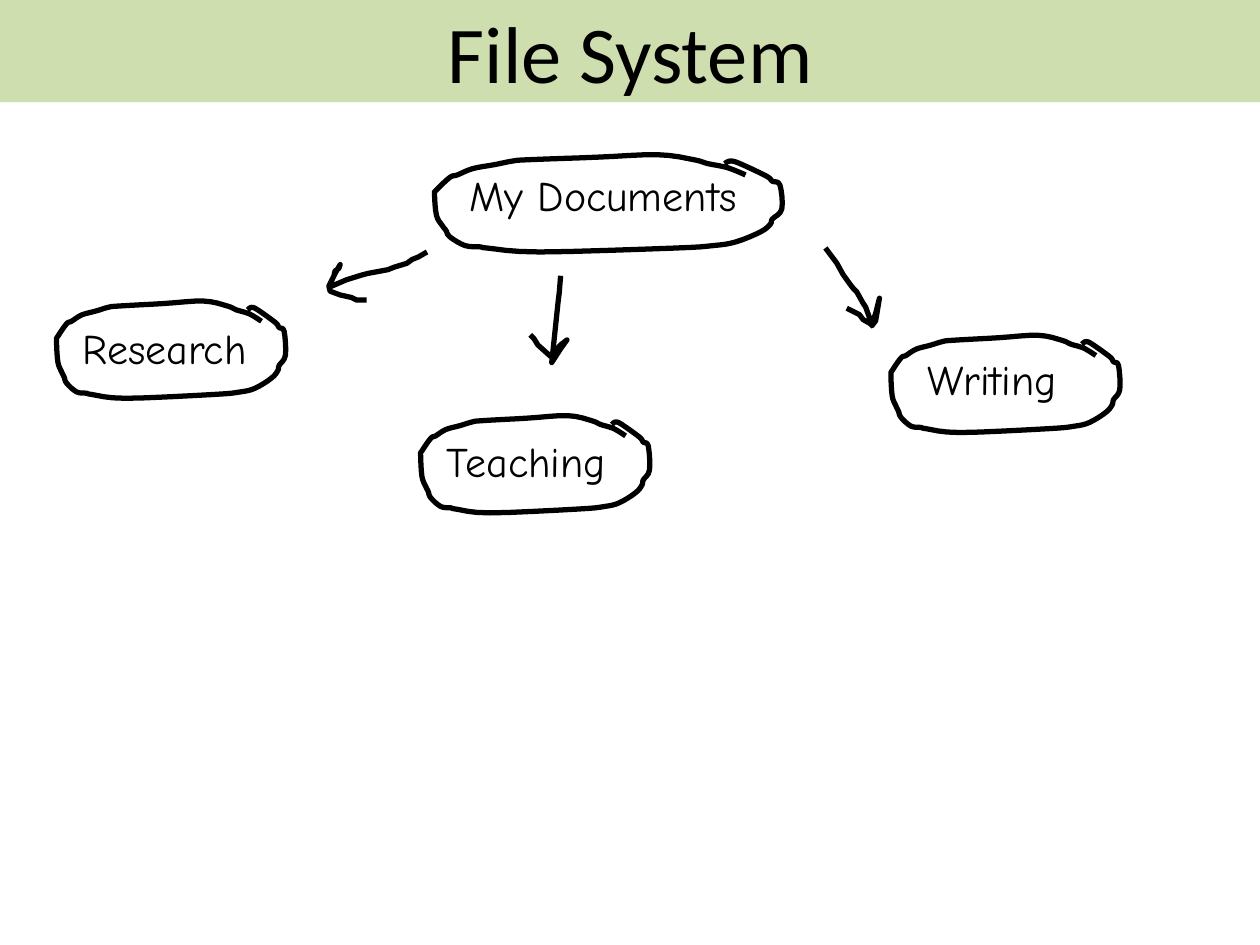
import dataclasses

import lxml.etree
import pptx
import pptx.dml.color
import pptx.enum.text
import pptx.oxml.ns
import pptx.util
from pptx.util import Cm


@dataclasses.dataclass(frozen=True)
class Theme:
    ink: str = "000000"
    band: str = "C3D69B"
    band_opacity: int = 80
    title_font: str = "Calibri"
    label_font: str = "Comic Neue"
    title_size: int = 46
    label_size: int = 24
    stroke_width: int = 3


THEME = Theme()

# Pen points, running from 0 to the largest value along each axis.
BUBBLE = [
    (163, 16), (155, 11), (150, 9), (143, 7), (136, 4), (117, 0), (85, 2),
    (49, 4), (41, 5), (31, 8), (20, 11), (12, 16), (8, 18), (1, 28), (0, 31),
    (1, 48), (4, 56), (6, 60), (8, 65), (16, 72), (24, 73), (28, 74),
    (55, 77), (125, 74), (146, 72), (158, 69), (171, 61), (176, 55),
    (177, 51), (182, 43), (181, 24), (177, 21), (174, 17), (160, 7),
    (155, 5), (152, 7),
]
ARROW_LEFT = [
    (78, 0), (71, 4), (66, 6), (62, 9), (52, 12), (47, 14), (31, 17),
    (27, 18), (14, 22), (0, 28), (3, 21), (5, 17), (9, 10), (8, 13), (5, 15),
    (4, 19), (0, 27), (1, 31), (9, 34), (18, 36), (22, 38), (30, 38),
]
ARROW_DOWN = [
    (24, 0), (23, 13), (22, 21), (17, 69), (24, 58), (29, 51), (24, 55),
    (16, 64), (6, 55), (3, 50), (0, 47),
]
ARROW_RIGHT = [
    (0, 0), (9, 12), (14, 21), (19, 28), (22, 32), (25, 35), (30, 44),
    (32, 47), (36, 58), (37, 62), (40, 58), (43, 40), (41, 48), (40, 52),
    (37, 61), (30, 57), (27, 53), (19, 49), (17, 48),
]

# Label, its left, top and width, then the bubble's left, top and width (cm).
FOLDERS = [
    ("My Documents", (9.22, 3.3, 6.38), (8.76, 3.12, 7.01)),
    ("Teaching", (8.76, 8.66, 3.78), (8.48, 8.38, 4.62)),
    ("Research", (1.42, 6.38, 4.19), (1.14, 6.07, 4.62)),
    ("Writing", (18.44, 7.01, 3.51), (17.96, 6.76, 4.62)),
]
LABEL_HEIGHT = 1.27
BUBBLE_HEIGHT = 1.96

ARROWS = [
    (ARROW_LEFT, (6.63, 5.08, 1.98, 0.97)),
    (ARROW_DOWN, (10.69, 5.56, 0.74, 1.75)),
    (ARROW_RIGHT, (16.64, 5, 1.09, 1.57)),
]


def rgb(value):
    return pptx.dml.color.RGBColor.from_string(value)


def set_attributes(target, values):
    for name, value in values.items():
        setattr(target, name, value)


def write(tf, text, font):
    p = tf.paragraphs[0]
    r = p.add_run()
    r.text = text
    set_attributes(r.font, font)
    r.font.color.rgb = rgb(THEME.ink)
    return p


def smooth(points, steps=4):
    """Round a pen line with a Catmull-Rom curve through its points."""
    padded = [points[0], *points, points[-1]]
    curve = [points[0]]
    for a, b, c, d in zip(padded, padded[1:], padded[2:], padded[3:]):
        for step in range(1, steps + 1):
            t = step / steps
            curve.append(tuple(
                (2 * q + (r - o) * t + (2 * o - 5 * q + 4 * r - s) * t ** 2
                 + (3 * q - o - 3 * r + s) * t ** 3) / 2
                for o, q, r, s in zip(a, b, c, d)))
    return curve


def add_stroke(s, points, box):
    """Draw an open pen line stretched to a left, top, width, height box."""
    left, top, width, height = (Cm(v) for v in box)
    x_scale = width / max(x for x, _ in points)
    y_scale = height / max(y for _, y in points)
    placed = [(left + x * x_scale, top + y * y_scale) for x, y in points]
    builder = s.shapes.build_freeform(*placed[0])
    builder.add_line_segments(placed[1:], close=False)
    sp = builder.convert_to_shape()
    sp.shadow.inherit = False
    sp.fill.background()
    sp.line.color.rgb = rgb(THEME.ink)
    sp.line.width = pptx.util.Pt(THEME.stroke_width)


def add_label(s, text, place):
    left, top, width = place
    sp = s.shapes.add_textbox(Cm(left), Cm(top), Cm(width), Cm(LABEL_HEIGHT))
    set_attributes(sp.text_frame, {
        "word_wrap": False,
        "auto_size": pptx.enum.text.MSO_AUTO_SIZE.SHAPE_TO_FIT_TEXT,
    })
    write(sp.text_frame, text, {
        "name": THEME.label_font, "size": pptx.util.Pt(THEME.label_size)})


def add_title(s, text, width):
    sp = s.shapes.title
    set_attributes(sp, {
        "left": 0, "top": 0, "width": width, "height": Cm(2.06)})
    sp.fill.solid()
    sp.fill.fore_color.rgb = rgb(THEME.band)
    color = sp.fill._xPr.find(".//" + pptx.oxml.ns.qn("a:srgbClr"))
    alpha = lxml.etree.SubElement(color, pptx.oxml.ns.qn("a:alpha"))
    alpha.set("val", str(THEME.band_opacity * 1000))
    set_attributes(sp.text_frame, {
        "auto_size": pptx.enum.text.MSO_AUTO_SIZE.NONE,
        "vertical_anchor": pptx.enum.text.MSO_ANCHOR.MIDDLE,
    })
    p = write(sp.text_frame, text, {
        "name": THEME.title_font, "size": pptx.util.Pt(THEME.title_size)})
    p.alignment = pptx.enum.text.PP_ALIGN.CENTER


def main():
    prs = pptx.Presentation()
    set_attributes(prs, {"slide_width": Cm(25.4), "slide_height": Cm(19.05)})
    s = prs.slides.add_slide(prs.slide_layouts.get_by_name("Title Only"))
    add_title(s, "File System", prs.slide_width)
    bubble = smooth(BUBBLE)
    for text, label_place, bubble_place in FOLDERS:
        add_label(s, text, label_place)
        add_stroke(s, bubble, (*bubble_place, BUBBLE_HEIGHT))
    for points, box in ARROWS:
        add_stroke(s, points, box)
    prs.save("out.pptx")


if __name__ == "__main__":
    main()
